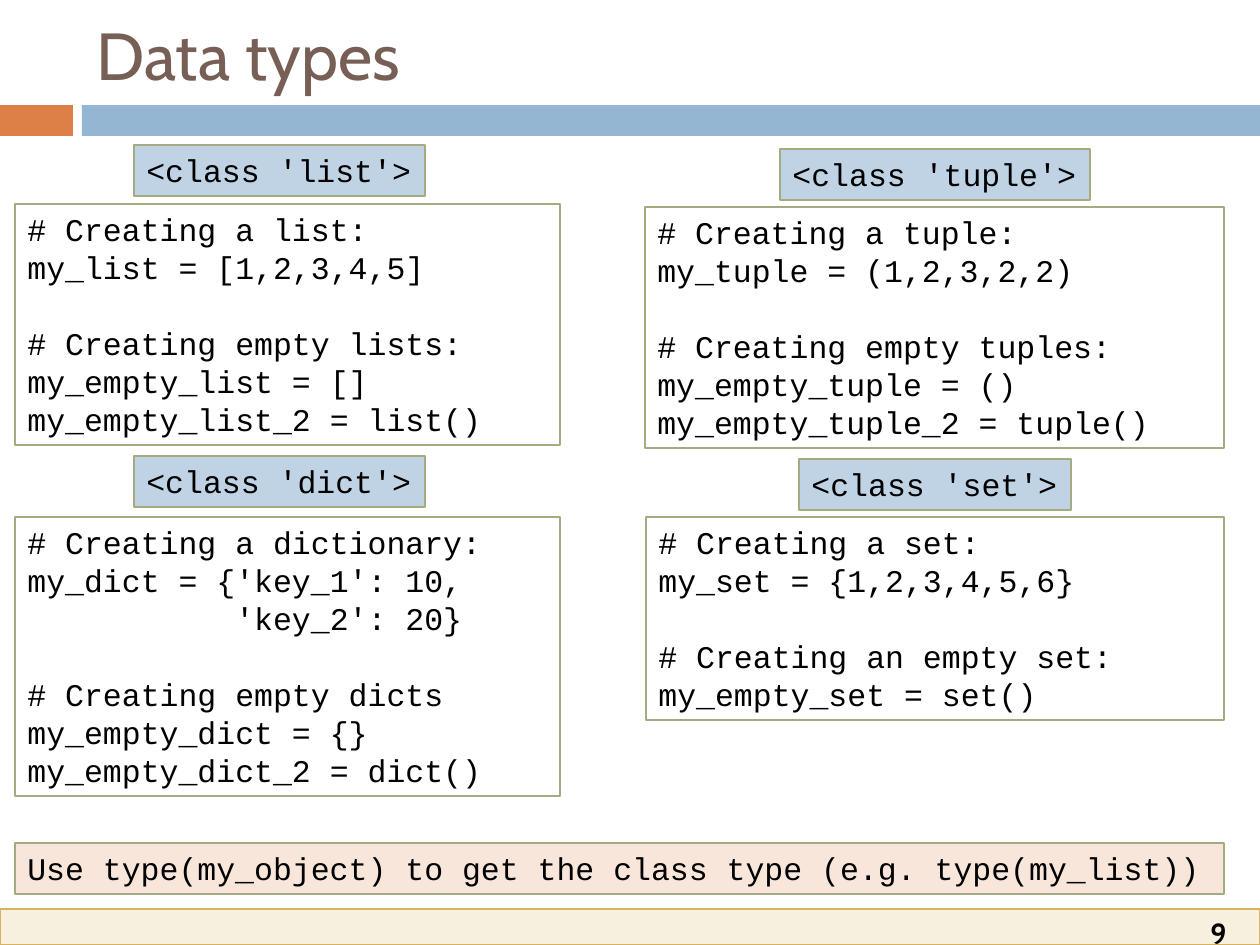
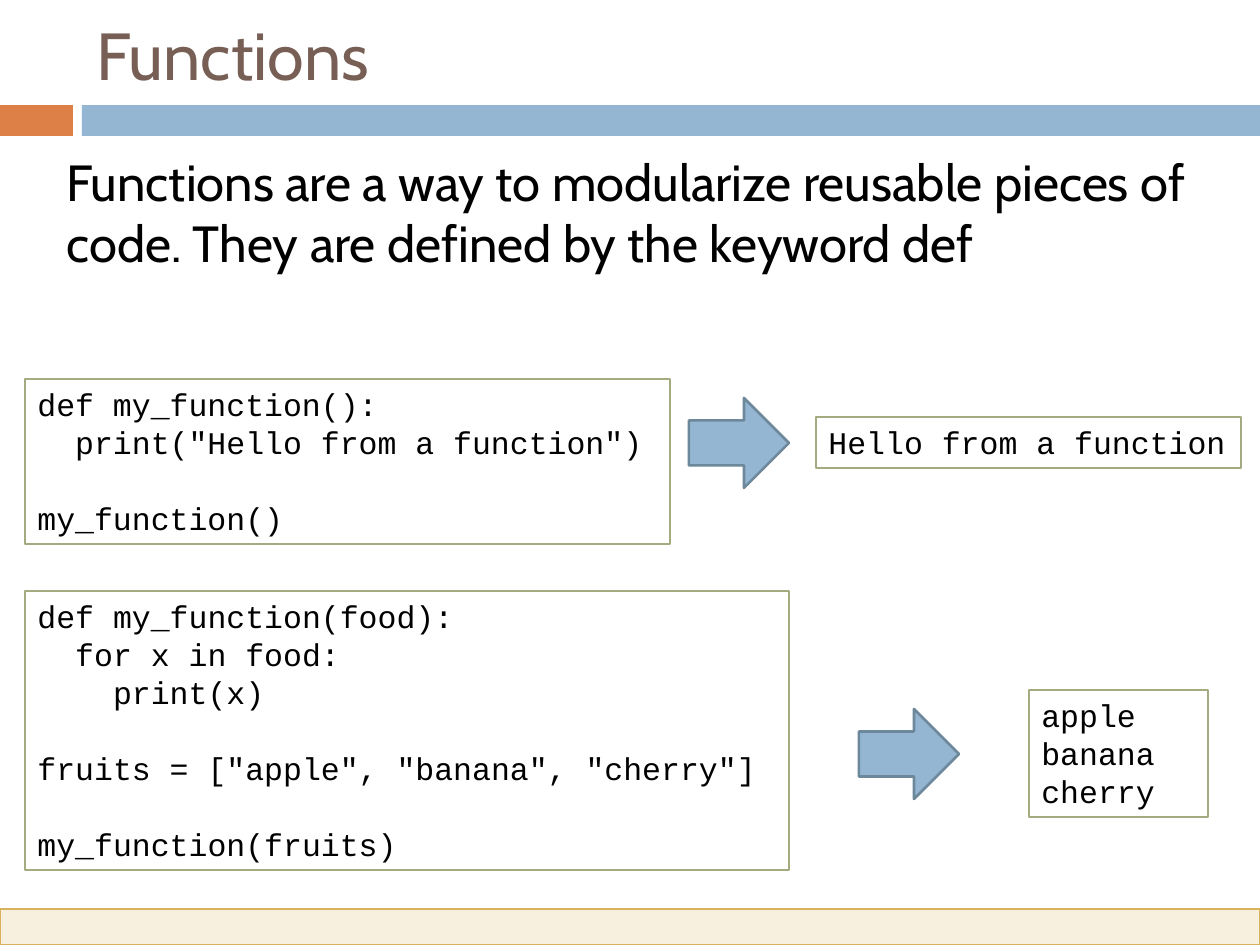
from pptx import Presentation
from pptx import util as u
from pptx.dml.color import RGBColor
from pptx.enum import shapes, text

WHITE = RGBColor(0xFF, 0xFF, 0xFF)
BLACK = RGBColor(0x00, 0x00, 0x00)
BROWN = RGBColor(0x77, 0x5F, 0x55)
ORANGE = RGBColor(0xDD, 0x80, 0x47)
BLUE = RGBColor(0x94, 0xB6, 0xD2)
DARK_BLUE = RGBColor(0x6D, 0x87, 0x9B)
PALE_BLUE = RGBColor(0xBF, 0xD3, 0xE4)
PALE_ORANGE = RGBColor(0xF8, 0xE6, 0xDA)
GREEN = RGBColor(0xA5, 0xAB, 0x81)
CREAM = RGBColor(0xF7, 0xF0, 0xDE)
GOLD = RGBColor(0xD8, 0xB2, 0x5C)

BODY_FONT, CODE_FONT = "Cabin", "Courier New"
SLIDE_WIDTH, SLIDE_HEIGHT = 1260, 945
CODE_LINE = 38
CODE_PADDING = 13
CODE_PITCH = u.Pt(21.7)

LIST_CODE = """# Creating a list:
my_list = [1,2,3,4,5]

# Creating empty lists:
my_empty_list = []
my_empty_list_2 = list()"""
TUPLE_CODE = """# Creating a tuple:
my_tuple = (1,2,3,2,2)

# Creating empty tuples:
my_empty_tuple = ()
my_empty_tuple_2 = tuple()"""
DICT_CODE = """# Creating a dictionary:
my_dict = {'key_1': 10,
           'key_2': 20}

# Creating empty dicts
my_empty_dict = {}
my_empty_dict_2 = dict()"""
SET_CODE = """# Creating a set:
my_set = {1,2,3,4,5,6}

# Creating an empty set:
my_empty_set = set()"""
HELLO_CODE = """def my_function():
  print("Hello from a function")

my_function()"""
FRUIT_CODE = """def my_function(food):
  for x in food:
    print(x)

fruits = ["apple", "banana", "cherry"]

my_function(fruits)"""


def px(length):
    """Turn a length in px into EMU."""
    return u.Emu(round(length * 914400 / 126))


def add_run(paragraph, words, size, font=BODY_FONT, color=BLACK, bold=False):
    """Add one formatted run to a paragraph."""
    run = paragraph.add_run()
    run.text = words
    run.font.size, run.font.name, run.font.bold = u.Pt(size), font, bold
    run.font.color.rgb = color


def add_block(slide, box, fill, line=None, width=1.5, kind=shapes.MSO_SHAPE.RECTANGLE):
    """Add a flat preset shape in the given box."""
    block = slide.shapes.add_shape(kind, *map(px, box))
    block.shadow.inherit = False
    block.fill.solid()
    block.fill.fore_color.rgb = fill
    if line is None:
        block.line.fill.background()
    else:
        block.line.color.rgb = line
        block.line.width = u.Pt(width)
    return block


def add_code(slide, left, top, width, code, fill=WHITE):
    """Add a framed code box as tall as its lines."""
    lines = code.split("\n")
    height = CODE_LINE * len(lines) + CODE_PADDING
    frame = add_block(slide, (left, top, width, height), fill, GREEN).text_frame
    frame.word_wrap = True
    frame.vertical_anchor = text.MSO_ANCHOR.TOP
    paragraph, gap = frame.paragraphs[0], 0
    for index, line in enumerate(lines):
        if not line:
            gap += CODE_PITCH
            continue
        if index:
            paragraph = frame.add_paragraph()
            paragraph.space_before = u.Emu(gap)
        paragraph.alignment = text.PP_ALIGN.LEFT
        paragraph.line_spacing = CODE_PITCH
        add_run(paragraph, line, 18, CODE_FONT)
        gap = 0


def add_class_card(slide, box, label_center, label_top, class_name, code):
    """Add a class label above the code that creates its objects."""
    label = f"<class '{class_name}'>"
    label_width = 19 * len(label) + 25
    add_code(slide, *box, code)
    add_code(slide, label_center - label_width // 2, label_top, label_width, label, PALE_BLUE)


def add_example(slide, code_box, code, arrow_at, output_box, output):
    """Add code, an arrow and the output it prints."""
    add_code(slide, *code_box, code)
    add_code(slide, *output_box, output)
    add_block(slide, (*arrow_at, 100, 90), BLUE, DARK_BLUE,
              kind=shapes.MSO_SHAPE.RIGHT_ARROW)


def add_text(slide, box, words, size, bold=False, align=text.PP_ALIGN.LEFT):
    """Add a wrapped text box with one paragraph."""
    frame = slide.shapes.add_textbox(*map(px, box)).text_frame
    frame.word_wrap = True
    frame.paragraphs[0].alignment = align
    add_run(frame.paragraphs[0], words, size, bold=bold)


def add_titled_slide(deck, heading):
    """Add a slide with the shared bands, footer and title."""
    slide = deck.slides.add_slide(deck.slide_layouts[5])
    add_block(slide, (0, 909, SLIDE_WIDTH, 36), CREAM, GOLD, 0.79)
    add_block(slide, (0, 98, SLIDE_WIDTH, 44), WHITE)
    add_block(slide, (0, 105, 73, 31), ORANGE)
    add_block(slide, (82, 105, SLIDE_WIDTH - 82, 31), BLUE)
    title = slide.shapes.title
    title.left, title.top, title.width, title.height = map(px, (84, 0, 1124, 108))
    frame = title.text_frame
    frame.vertical_anchor = text.MSO_ANCHOR.MIDDLE
    frame.paragraphs[0].alignment = text.PP_ALIGN.LEFT
    add_run(frame.paragraphs[0], heading, 38, color=BROWN)
    return slide


def build_data_types(deck):
    """Build the slide that compares four container types."""
    slide = add_titled_slide(deck, "Data types")
    add_text(slide, (1177, 909, 83, 44), "9", 16.6, True, text.PP_ALIGN.CENTER)
    add_class_card(slide, (15, 204, 545), 279, 145, "list", LIST_CODE)
    add_class_card(slide, (645, 207, 579), 935, 149, "tuple", TUPLE_CODE)
    add_class_card(slide, (15, 517, 545), 279, 456, "dict", DICT_CODE)
    add_class_card(slide, (646, 517, 578), 935, 459, "set", SET_CODE)
    add_code(slide, 15, 843, 1209,
             "Use type(my_object) to get the class type (e.g. type(my_list))", PALE_ORANGE)


def build_functions(deck):
    """Build the slide that shows functions and their output."""
    slide = add_titled_slide(deck, "Functions")
    add_text(slide, (54, 145, 1153, 136),
             "Functions are a way to modularize reusable pieces of code. "
             "They are defined by the keyword def", 29)
    add_example(slide, (25, 379, 645), HELLO_CODE, (689, 398),
                (816, 417, 425), "Hello from a function")
    add_example(slide, (25, 591, 764), FRUIT_CODE, (859, 709),
                (1029, 690, 179), "apple\nbanana\ncherry")


def main():
    """Build and save the deck."""
    deck = Presentation()
    deck.slide_width, deck.slide_height = px(SLIDE_WIDTH), px(SLIDE_HEIGHT)
    build_data_types(deck)
    build_functions(deck)
    deck.save("out.pptx")


if __name__ == "__main__":
    main()
